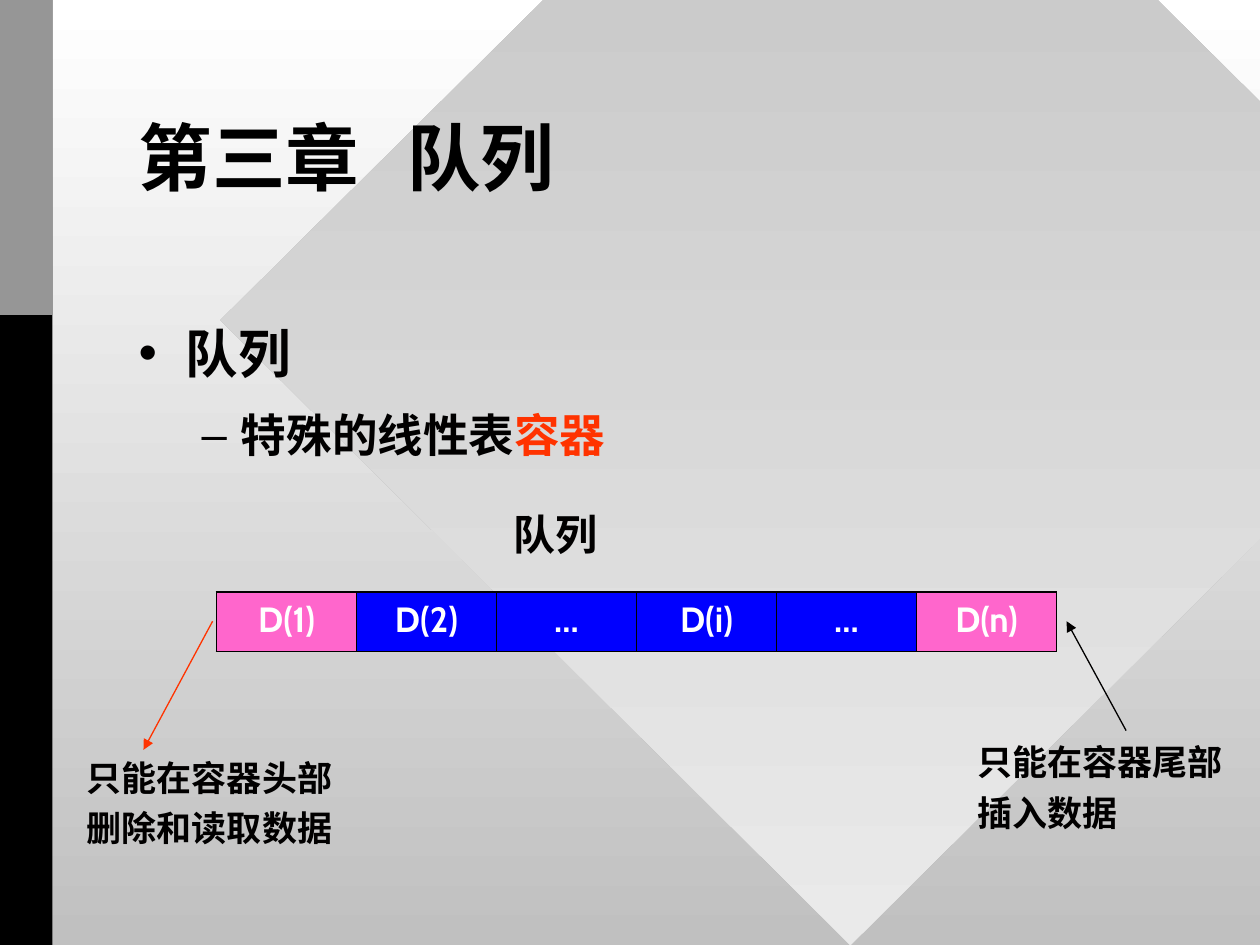
from lxml import etree
from pptx import Presentation
from pptx import util as u
from pptx.dml.color import RGBColor
from pptx.enum import shapes, text
from pptx.oxml import ns

Pt = u.Pt
INK, RED, PINK, BLUE = "010000", "FF3300", "FF66CC", "0000FF"


def rgb(color):
    return RGBColor.from_string(color)


def add_run(p, words, size, color=INK):
    r = p.add_run()
    r.text = words
    r.font.name, r.font.size, r.font.bold = "Cabin", Pt(size), True
    r.font.color.rgb = rgb(color)


prs = Presentation()
prs.slide_width, prs.slide_height = Pt(720), Pt(540)
s = prs.slides.add_slide(prs.slide_layouts[1])
title, body = s.placeholders

diamond = s.shapes.add_shape(shapes.MSO_SHAPE.DIAMOND, Pt(126), Pt(-174), Pt(720), Pt(714))
for fill, colors in [(s.background.fill, ("FFFFFF", "C0C0C0")), (diamond.fill, ("C0C0C0", "EAEAEA"))]:
    fill.gradient()
    fill.gradient_angle = 270
    for stop, color in zip(fill.gradient_stops, colors):
        stop.color.rgb = rgb(color)

backdrop = [diamond]
for height, color in [(540, "000000"), (180, "969696")]:
    bar = s.shapes.add_shape(shapes.MSO_SHAPE.RECTANGLE, 0, 0, Pt(30), Pt(height))
    bar.fill.solid()
    bar.fill.fore_color.rgb = rgb(color)
    backdrop.append(bar)
for i, sp in enumerate(backdrop):
    sp.shadow.inherit = False
    sp.line.fill.background()
    title._element.getparent().insert(2 + i, sp._element)

title.left, title.top, title.width, title.height = Pt(72), Pt(48), Pt(576), Pt(90)
tf = title.text_frame
tf.auto_size = text.MSO_AUTO_SIZE.NONE
tf.vertical_anchor = text.MSO_ANCHOR.MIDDLE
p = tf.paragraphs[0]
p.alignment = text.PP_ALIGN.LEFT
p.line_spacing = 0.85
add_run(p, "第三章\t 队列", 42, "000000")

body.left, body.top, body.width, body.height = Pt(72), Pt(180), Pt(594), Pt(288)
tf = body.text_frame
tf.auto_size = text.MSO_AUTO_SIZE.NONE
items = [
    (27, -27, 22.5, 30, [("队列", INK)]),
    (58.5, -22.5, 13, 26, [("特殊的线性表", INK), ("容器", RED)]),
]
for level, (margin, indent, before, size, runs) in enumerate(items):
    p = tf.add_paragraph() if level else tf.paragraphs[0]
    p.level = level
    p.space_before = Pt(before)
    pPr = p._p.get_or_add_pPr()
    pPr.set("marL", str(Pt(margin)))
    pPr.set("indent", str(Pt(indent)))
    for words, color in runs:
        add_run(p, words, size, color)

labels = [
    (286.5, 287, 65, 36, 24, 6, ["队列"]),
    (551.5, 419.5, 156, 60.5, 20, 5, ["只能在容器尾部", "插入数据"]),
    (42.5, 428.5, 156, 60.5, 20, 5, ["只能在容器头部", "删除和读取数据"]),
]
for left, top, width, height, size, before, lines in labels:
    tf = s.shapes.add_textbox(Pt(left), Pt(top), Pt(width), Pt(height)).text_frame
    tf.word_wrap = False
    tf.auto_size = text.MSO_AUTO_SIZE.SHAPE_TO_FIT_TEXT
    for i, line in enumerate(lines):
        p = tf.add_paragraph() if i else tf.paragraphs[0]
        p.space_before = Pt(before)
        add_run(p, line, size)

cells = ["D(1)", "D(2)", "…", "D(i)", "…", "D(n)"]
last = len(cells) - 1
table = s.shapes.add_table(1, len(cells), Pt(123.75), Pt(338.25), Pt(480), Pt(34)).table
table.first_row = table.horz_banding = False
for i, words in enumerate(cells):
    table.columns[i].width = Pt(80)
    cell = table.cell(0, i)
    cell.fill.solid()
    cell.fill.fore_color.rgb = rgb(PINK if i in (0, last) else BLUE)
    p = cell.text_frame.paragraphs[0]
    p.alignment = text.PP_ALIGN.CENTER
    p.space_before = Pt(15)
    add_run(p, words, 20, "FFFFFF")
    sides = [("L", i == 0), ("R", i == last), ("T", True), ("B", True)]
    for j, (side, outer) in enumerate(sides):
        ln = etree.Element(ns.qn("a:ln" + side), w=str(Pt(1.08 if outer else 0.45)))
        fill = etree.SubElement(ln, ns.qn("a:solidFill"))
        etree.SubElement(fill, ns.qn("a:srgbClr"), val=INK)
        cell._tc.get_or_add_tcPr().insert(j, ln)

for x1, y1, x2, y2, color in [(643.5, 417.5, 609.5, 355, INK), (121.5, 355, 82, 428.5, RED)]:
    arrow = s.shapes.add_connector(shapes.MSO_CONNECTOR.STRAIGHT, Pt(x1), Pt(y1), Pt(x2), Pt(y2))
    arrow.line.color.rgb = rgb(color)
    arrow.line.width = Pt(0.75)
    etree.SubElement(arrow.line._get_or_add_ln(), ns.qn("a:tailEnd"), type="triangle")
    etree.SubElement(arrow._element.spPr, ns.qn("a:effectLst"))

prs.save("out.pptx")
